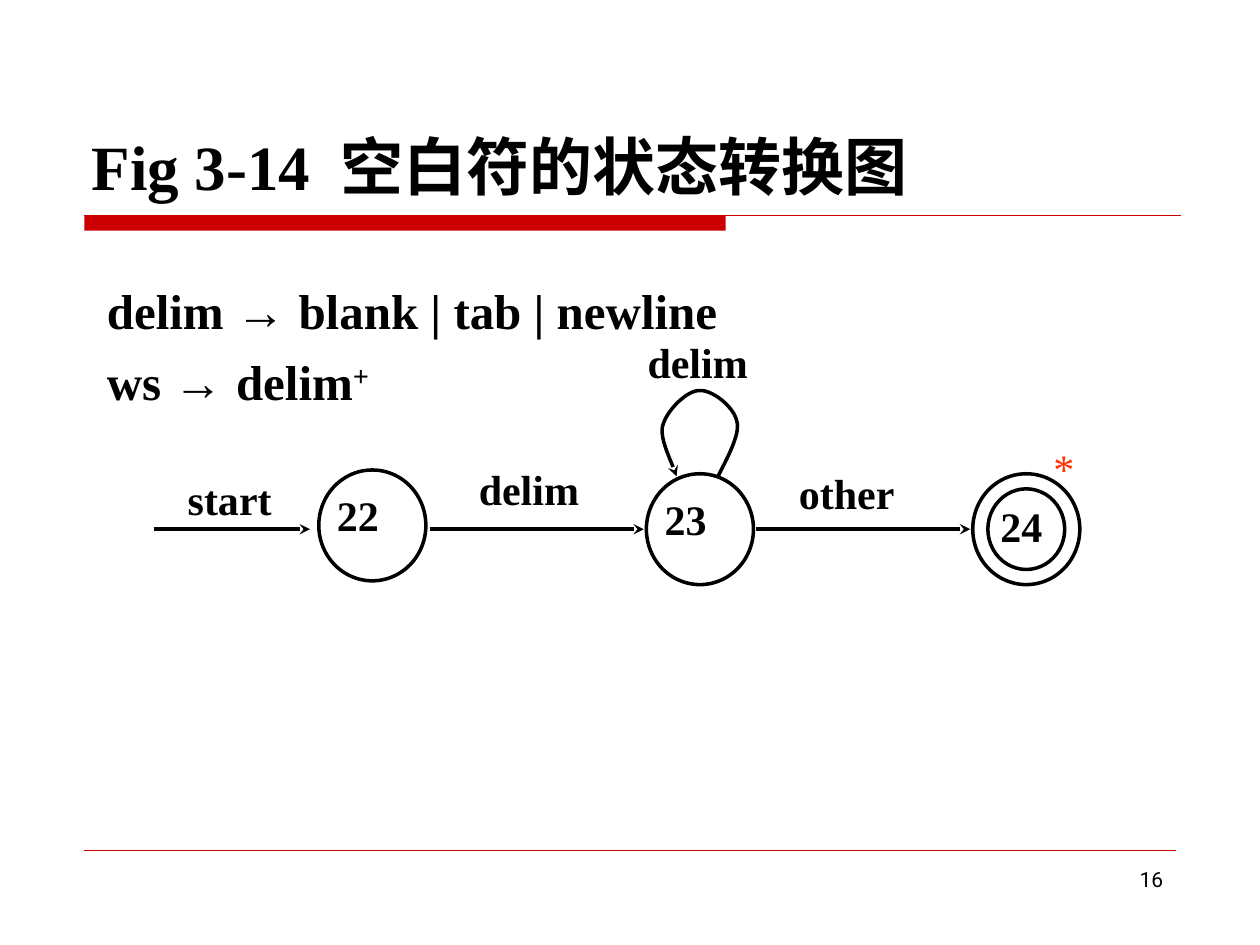
from pptx import Presentation
from pptx.dml.color import RGBColor
from pptx.enum.shapes import MSO_CONNECTOR as Connector, MSO_SHAPE as Shape
from pptx.enum.text import MSO_ANCHOR as Anchor, PP_ALIGN as Align
from pptx.oxml.ns import qn
from pptx.util import Inches, Pt
from lxml.etree import SubElement

SERIF, SANS, CJK, NUMBER_FONT = "Times New Roman", "Arial", "Noto Sans CJK SC", "Roboto"
BLACK, RED, ORANGE = "000000", "CC0000", "FF3300"
LABEL_INSETS = (0.06, 0.03, 0.06, 0.03)


def color(hex_code):
    return RGBColor.from_string(hex_code)


def write(frame, *paragraphs, size=24, bold=True, ink=BLACK, align=Align.LEFT,
          anchor=Anchor.TOP, insets=(0.1, 0.05, 0.1, 0.05), before=0, wrap=True):
    """Fill a text frame; each paragraph is a list of (text, font, baseline) runs."""
    frame.word_wrap = wrap
    frame.vertical_anchor = anchor
    (frame.margin_left, frame.margin_top,
     frame.margin_right, frame.margin_bottom) = map(Inches, insets)
    for index, runs in enumerate(paragraphs):
        paragraph = frame.add_paragraph() if index else frame.paragraphs[0]
        paragraph.alignment = align
        paragraph.space_before = Pt(before)
        for text, face, baseline in runs:
            run = paragraph.add_run()
            run.text = text
            font = run.font
            font.name, font.size, font.bold = face, Pt(size), bold
            font.color.rgb = color(ink)
            SubElement(font._element, qn("a:ea")).set("typeface", face)
            if baseline:
                font._element.set("baseline", str(baseline * 1000))


def add_text(slide, box, *paragraphs, **format):
    frame = slide.shapes.add_textbox(*map(Inches, box)).text_frame
    write(frame, *paragraphs, **format)


def add_label(slide, box, text, **format):
    add_text(slide, box, [(text, SERIF, 0)],
             **{"insets": LABEL_INSETS, "align": Align.JUSTIFY, **format})


def add_arrowhead(line):
    SubElement(line._get_or_add_ln(), qn("a:tailEnd")).set("type", "stealth")


def add_line(slide, start, end, ink=BLACK, width=2, arrow=False):
    connector = slide.shapes.add_connector(Connector.STRAIGHT, *map(Inches, start + end))
    connector.line.color.rgb = color(ink)
    connector.line.width = Pt(width)
    SubElement(connector._element.spPr, qn("a:effectLst"))
    if arrow:
        add_arrowhead(connector.line)


def add_outline(shape):
    shape.shadow.inherit = False
    shape.fill.background()
    shape.line.color.rgb = color(BLACK)
    shape.line.width = Pt(2)


def add_circle(slide, box, name="", **format):
    circle = slide.shapes.add_shape(Shape.OVAL, *map(Inches, box))
    add_outline(circle)
    if name:
        write(circle.text_frame, [(name, SERIF, 0)], **format)


def add_state(slide, left, top, name, accepting=False):
    width, height, ring = 0.85, 0.88, 0.12
    if accepting:
        add_circle(slide, (left, top, width, height))
        add_circle(slide, (left + ring, top + ring, width - 2 * ring, height - 2 * ring),
                   name, insets=(0.01, 0, 0.01, 0), align=Align.JUSTIFY)
    else:
        add_circle(slide, (left, top, width, height), name,
                   insets=(0.02, 0.03, 0.02, 0.05))


def curve_points(start, segments, steps=16):
    """Sample a chain of cubic Bezier segments."""
    points = [start]
    for first, second, end in segments:
        for step in range(1, steps + 1):
            t = step / steps
            weights = ((1 - t) ** 3, 3 * t * (1 - t) ** 2, 3 * t * t * (1 - t), t ** 3)
            corners = (start, first, second, end)
            points.append(tuple(sum(w * corner[axis] for w, corner in zip(weights, corners))
                                for axis in (0, 1)))
        start = end
    return points


def add_self_loop(slide, left, top):
    segments = [((0.5, 0.62), (0.65, 0.37), (0.62, 0.26)),
                ((0.6, 0.14), (0.42, 0), (0.32, 0.01)),
                ((0.22, 0.01), (0.06, 0.17), (0.03, 0.29)),
                ((0, 0.4), (0.12, 0.61), (0.14, 0.69))]
    points = [(Inches(left + x), Inches(top + y))
              for x, y in curve_points((0.47, 0.69), segments)]
    builder = slide.shapes.build_freeform(*points[0], scale=1.0)
    builder.add_line_segments(points[1:], close=False)
    loop = builder.convert_to_shape()
    add_outline(loop)
    add_arrowhead(loop.line)


def add_header(slide, left, top, width, height):
    rule_top = top + height + 0.05
    bar = slide.shapes.add_shape(Shape.RECTANGLE, Inches(left + 0.04), Inches(rule_top),
                                 Inches(5.09), Inches(0.12))
    bar.shadow.inherit = False
    bar.fill.solid()
    bar.fill.fore_color.rgb = color(RED)
    bar.line.fill.background()
    add_line(slide, (left + 0.04, rule_top), (left + width - 0.01, rule_top), RED, 0.75)
    add_text(slide, (left, top, width, height),
             [("Fig 3-14 ", SERIF, 0), (" 空白符的状态转换图", CJK, 0)],
             size=36, anchor=Anchor.BOTTOM)


def add_definitions(slide, box):
    add_text(slide, box,
             [("delim ", SERIF, 0), ("→ ", SANS, 0), ("blank | tab | newline", SERIF, 0)],
             [("ws ", SERIF, 0), ("→ ", SANS, 0), ("delim", SERIF, 0), ("+", SERIF, 30)],
             size=28, before=7, anchor=Anchor.MIDDLE, wrap=False)


def add_transition_diagram(slide, left, top):
    """Draw the automaton; top is the upper edge of the loop's label."""
    axis = top + 1.53
    for start, end in ((0, 1.24), (2.19, 3.89), (4.78, 6.48)):
        add_line(slide, (left + start, axis), (left + end, axis), arrow=True)

    add_state(slide, left + 1.31, top + 1.06, "22")
    add_state(slide, left + 3.91, top + 1.09, "23")
    add_state(slide, left + 6.5, top + 1.09, "24", accepting=True)
    add_self_loop(slide, left + 4.01, top + 0.42)

    add_label(slide, (left + 0.21, top + 1.06, 1.37, 0.84), "start")
    add_label(slide, (left + 2.52, top + 0.98, 1.18, 0.84), "delim")
    add_label(slide, (left + 5.06, top + 1.01, 1.08, 0.84), "other")
    add_label(slide, (left + 3.86, top, 0.94, 0.59), "delim", insets=(0.06, 0, 0.06, 0))
    add_label(slide, (left + 7.08, top + 0.81, 0.48, 0.41), "*", ink=ORANGE, bold=False)


def add_footer(slide, left, top, width):
    add_line(slide, (left, top), (left + width, top), RED, 0.25)
    add_text(slide, (left + width - 2.17, top + 0.08, 2.17, 0.52),
             [("16", NUMBER_FONT, 0)], size=12, bold=False, align=Align.RIGHT)


def main():
    deck = Presentation()
    deck.slide_width, deck.slide_height = Inches(10), Inches(7.5)
    slide = deck.slides.add_slide(deck.slide_layouts[6])
    add_header(slide, 0.63, 0.33, 8.75, 1.33)
    add_definitions(slide, (0.75, 2.08, 7.58, 1.33))
    add_transition_diagram(slide, 1.22, 2.67)
    add_footer(slide, 0.67, 6.75, 8.66)
    deck.save("out.pptx")


if __name__ == "__main__":
    main()
